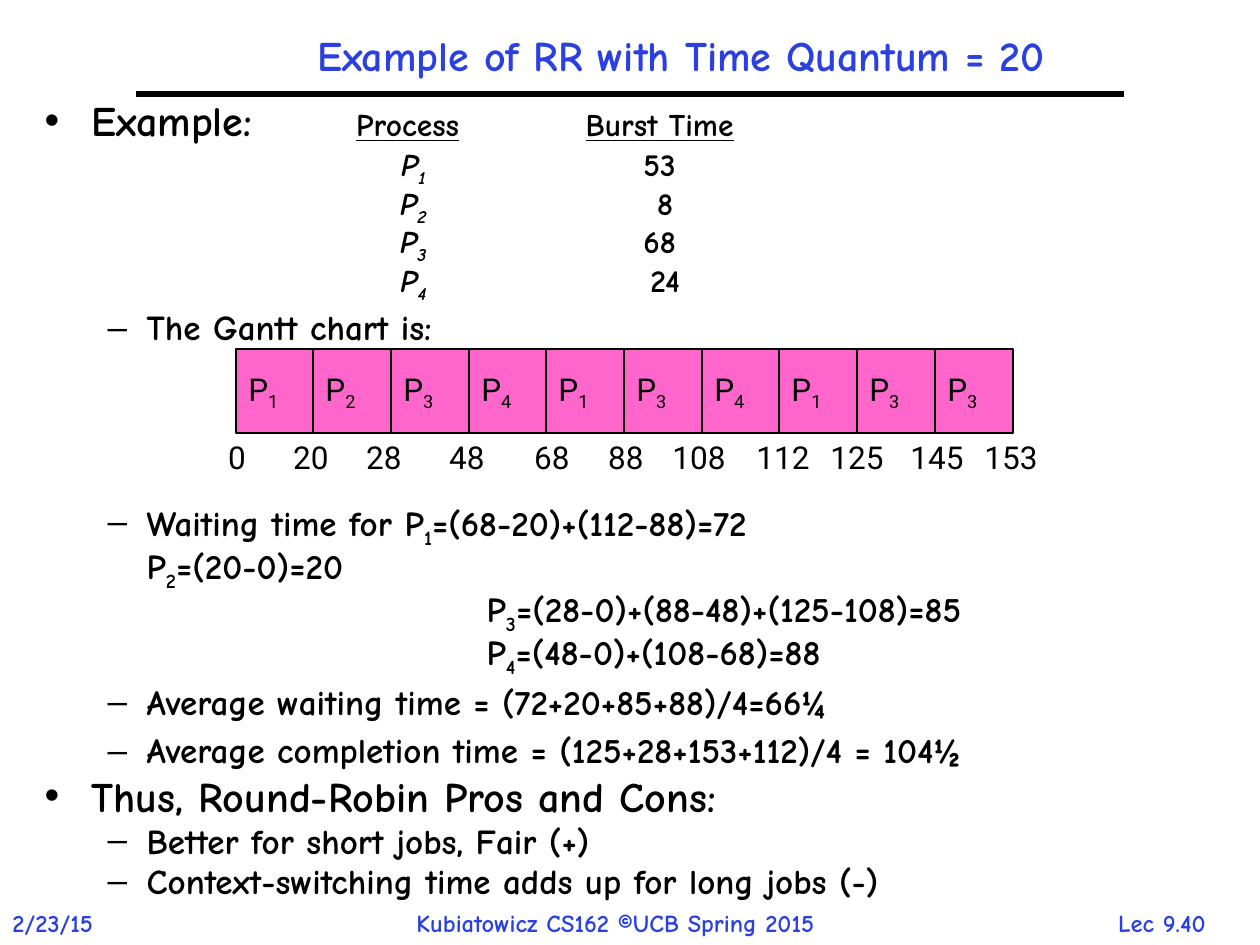
from lxml.etree import SubElement
from pptx import Presentation
from pptx.dml.color import RGBColor
from pptx.enum.shapes import MSO_CONNECTOR, MSO_SHAPE
from pptx.enum.text import MSO_ANCHOR, MSO_AUTO_SIZE, PP_ALIGN
from pptx.oxml.ns import qn
from pptx.util import Emu, Pt

BLUE = RGBColor(0x2A, 0x40, 0xE2)
BLACK = RGBColor(0, 0, 0)
PINK = RGBColor(0xFF, 0x66, 0xCC)
COMIC = "Comic Neue"
PLAIN = "Roboto"


def px(size):
    return Emu(round(size * 914400 / 126))


def fill(para, text, slant=None):
    for row, line in enumerate(text.split("\n")):
        if row:
            para.add_line_break()
        head, *tail = line.split("_")
        spans = [(head, False)]
        for part in tail:
            spans += [(part[0], True), (part[1:], False)]
        for words, low in spans:
            if words:
                run = para.add_run()
                run.text = words
                run.font.italic = slant
                if low:
                    run.font._element.set("baseline", "-25000")


deck = Presentation()
deck.slide_width, deck.slide_height = px(1260), px(945)
slide = deck.slides.add_slide(deck.slide_layouts[1])
shapes = slide.shapes

for left, width, text, align in [
    (1086, 152, "Lec 9.40", PP_ALIGN.CENTER),
    (0, 126, "2/23/15", PP_ALIGN.LEFT),
    (404, 488, "Kubiatowicz CS162 ©UCB Spring 2015", PP_ALIGN.LEFT),
]:
    foot = shapes.add_textbox(px(left), px(902), px(width), px(42)).text_frame
    foot.word_wrap = True
    para = foot.paragraphs[0]
    para.alignment = align
    fill(para, text)
    font = para.font
    font.name, font.size, font.bold = COMIC, Pt(14), True
    font.color.rgb = BLUE

rule = shapes.add_connector(MSO_CONNECTOR.STRAIGHT, px(136), px(94), px(1124), px(94))
rule.line.color.rgb = BLACK
rule.line.width = Pt(3)
SubElement(rule._element.spPr, qn("a:effectLst"))

title = shapes.title
title.left, title.top, title.width, title.height = px(126), px(0), px(1110), px(116)
title.text_frame.auto_size = MSO_AUTO_SIZE.NONE
title.text_frame.vertical_anchor = MSO_ANCHOR.MIDDLE
para = title.text_frame.paragraphs[0]
para.alignment = PP_ALIGN.CENTER
para.line_spacing = 0.9
fill(para, "Example of RR with Time Quantum = 20")
font = para.font
font.name, font.size, font.bold = COMIC, Pt(24), True
font.color.rgb = BLUE

body = slide.placeholders[1]
body.left, body.top, body.width, body.height = px(32), px(94), px(1197), px(829)
frame = body.text_frame
frame.auto_size = MSO_AUTO_SIZE.NONE
waits = (
    "Waiting time for \tP_1=(68-20)+(112-88)=72\nP_2=(20-0)=20\n"
    "\t\tP_3=(28-0)+(88-48)+(125-108)=85\n\t\tP_4=(48-0)+(108-68)=88"
)
items = [
    (0, 18, 0.9, 0, ""),
    (1, 20, 0.9, 6, "The Gantt chart is:"),
    (1, 20, 0.9, 88, waits),
    (1, 20, 0.9, 6, "Average waiting time = (72+20+85+88)/4=66¼"),
    (1, 20, 0.9, 6, "Average completion time = (125+28+153+112)/4 = 104½"),
    (0, 24, 0.8, 5, "Thus, Round-Robin Pros and Cons:"),
    (1, 20, 0.8, 4, "Better for short jobs, Fair (+)"),
    (1, 20, 0.8, 4, "Context-switching time adds up for long jobs (-)"),
]
for row, (level, size, pitch, gap, text) in enumerate(items):
    para = frame.add_paragraph() if row else frame.paragraphs[0]
    para.level = level
    props = para._p.get_or_add_pPr()
    props.set("marL", str(px((47, 102)[level])))
    props.set("indent", str(px((-47, -39)[level])))
    SubElement(props, qn("a:buChar"), char="•–"[level])
    tabs = SubElement(props, qn("a:tabLst"))
    for stop, kind in [(363, "ctr"), (442, "l"), (615, "ctr")]:
        SubElement(tabs, qn("a:tab"), pos=str(px(stop)), algn=kind)
    para.line_spacing = pitch
    para.space_before = Pt(gap)
    font = para.font
    font.name, font.size, font.bold = COMIC, Pt(size), True
    font.color.rgb = BLACK
    fill(para, text)

para = frame.paragraphs[0]
for text in ["Example:", "\t", "Process", "\t\t", "Burst Time"]:
    run = para.add_run()
    run.text = text
    if text == "Example:":
        run.font.size = Pt(24)
    elif text.strip():
        run.font.underline = True
for num, time in enumerate(["53", " 8", "68", " 24"], 1):
    fill(para, "\n\t ")
    fill(para, f"P_{num}", True)
    fill(para, f"\t\t{time}")

for slot, job in enumerate([1, 2, 3, 4, 1, 3, 4, 1, 3, 3]):
    left, right = (236 + 777 * step // 10 for step in (slot, slot + 1))
    bar = shapes.add_shape(MSO_SHAPE.RECTANGLE, px(left), px(349), px(right - left), px(84))
    bar.shadow.inherit = False
    bar.fill.solid()
    bar.fill.fore_color.rgb = PINK
    bar.line.color.rgb = BLACK
    bar.line.width = Pt(0.75)
    bar.text_frame.word_wrap = False
    para = bar.text_frame.paragraphs[0]
    para.alignment = PP_ALIGN.LEFT
    fill(para, f"P_{job}")
    font = para.font
    font.name, font.size = PLAIN, Pt(18)
    font.color.rgb = BLACK

marks = [(237, 0), (311, 20), (384, 28), (467, 48), (552, 68), (626, 88),
         (699, 108), (783, 112), (857, 125), (937, 145), (1011, 153)]
for mid, time in marks:
    mark = shapes.add_textbox(px(mid - 39), px(432), px(78), px(50)).text_frame
    mark.word_wrap = False
    mark.vertical_anchor = MSO_ANCHOR.MIDDLE
    para = mark.paragraphs[0]
    para.alignment = PP_ALIGN.CENTER
    fill(para, str(time))
    font = para.font
    font.name, font.size = PLAIN, Pt(18)
    font.color.rgb = BLACK

deck.save("out.pptx")
